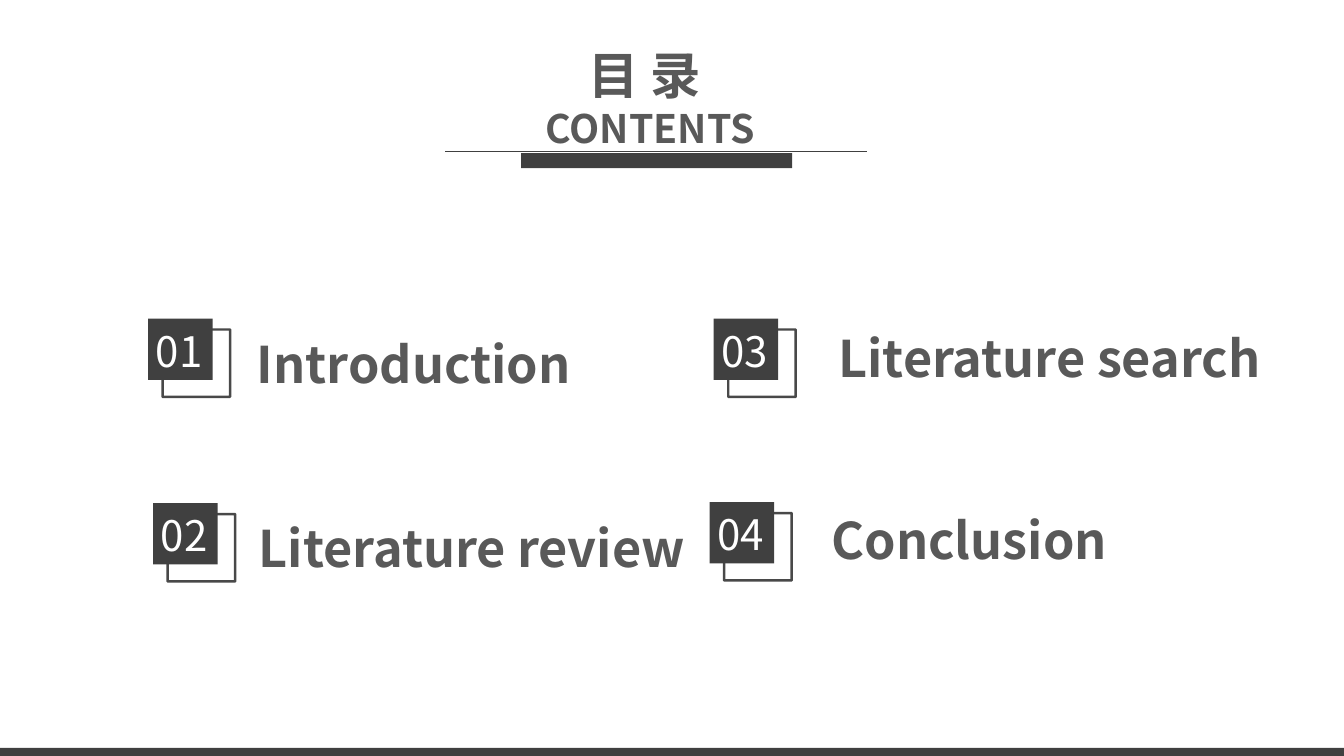
import pptx
import pptx.util
import pptx.dml.color
import pptx.enum.shapes
import pptx.enum.text
import pptx.oxml.ns
import lxml.etree

Pt = pptx.util.Pt
qn = pptx.oxml.ns.qn
FACE = "Noto Sans CJK SC"
DARK = "404040"
GREY = "595959"
MID = pptx.enum.text.MSO_ANCHOR.MIDDLE
TOP = pptx.enum.text.MSO_ANCHOR.TOP
LEFT = pptx.enum.text.PP_ALIGN.LEFT
MIDDLE = pptx.enum.text.PP_ALIGN.CENTER

ITEMS = [
    ("01", "Introduction", (105.8, 227.5), (176.4, 227.5)),
    ("02", "Literature review", (109.4, 359.3), (177.8, 359.3)),
    ("03", "Literature search", (509.8, 227.5), (591.8, 223.2)),
    ("04", "Conclusion", (506.9, 358.6), (586.8, 353.5)),
]


def tint(hue):
    return pptx.dml.color.RGBColor.from_string(hue)


def style(para, size, hue, bold, align):
    para.alignment = align
    font = para.font
    font.size = Pt(size)
    font.bold = bold
    font.color.rgb = tint(hue)
    font.name = FACE
    props = para._p.pPr.find(qn("a:defRPr"))
    lxml.etree.SubElement(props, qn("a:ea"), typeface=FACE)


def block(slide, x, y, w, h):
    kind = pptx.enum.shapes.MSO_SHAPE.RECTANGLE
    shape = slide.shapes.add_shape(kind, Pt(x), Pt(y), Pt(w), Pt(h))
    shape.shadow.inherit = False
    return shape


def solid(slide, x, y, w, h):
    shape = block(slide, x, y, w, h)
    shape.fill.solid()
    shape.fill.fore_color.rgb = tint(DARK)
    shape.line.fill.background()


def frame(slide, x, y, w, h):
    shape = block(slide, x, y, w, h)
    shape.fill.background()
    shape.line.width = Pt(1.75)
    shape.line.color.rgb = tint(DARK)
    shade = shape._element.spPr.find(qn("a:ln")).find(".//" + qn("a:srgbClr"))
    lxml.etree.SubElement(shade, qn("a:alpha"), val="94000")


def rule(slide, x, y, w):
    kind = pptx.enum.shapes.MSO_CONNECTOR.STRAIGHT
    line = slide.shapes.add_connector(kind, Pt(x), Pt(y), Pt(x + w), Pt(y))
    line.line.width = Pt(0.5)
    line.line.color.rgb = tint(DARK)
    lxml.etree.SubElement(line._element.spPr, qn("a:effectLst"))


def label(slide, text, x, y, w, h, size, hue, bold, anchor):
    box = slide.shapes.add_textbox(Pt(x), Pt(y), Pt(w), Pt(h))
    body = box.text_frame
    body.word_wrap = True
    body.vertical_anchor = anchor
    body.text = text
    style(body.paragraphs[0], size, hue, bold, LEFT)
    return body


def number(slide, text, x, y):
    body = label(slide, text, x, y, 54, 51.8, 30, "FFFFFF", False, TOP)
    body.margin_left = body.margin_right = Pt(5)
    body.margin_top = body.margin_bottom = Pt(2.9)
    body.paragraphs[0].line_spacing = 1.3


def heading(slide):
    title = slide.shapes.title
    title.left, title.top = Pt(326.9), Pt(51.1)
    title.width, title.height = Pt(275), Pt(37.4)
    body = title.text_frame
    body.auto_size = pptx.enum.text.MSO_AUTO_SIZE.NONE
    body.word_wrap = True
    body.vertical_anchor = MID
    body.text = "目 录 \nCONTENTS"
    for para, size in zip(body.paragraphs, (36, 28)):
        style(para, size, GREY, True, MIDDLE)


def entry(slide, num, text, tile, spot):
    x, y = tile
    frame(slide, x + 10.4, y + 7.9, 48.2, 48.2)
    solid(slide, x, y, 46.1, 43.9)
    number(slide, num, x + 0.5, y - 8.8)
    label(slide, text, *spot, 391, 63.4, 36, GREY, True, MID)


def main():
    deck = pptx.Presentation()
    deck.slide_width, deck.slide_height = Pt(960), Pt(540)
    slide = deck.slides.add_slide(deck.slide_layouts[5])
    solid(slide, -1.4, 534.2, 961.4, 5.8)
    solid(slide, 372.2, 109.4, 193.7, 10.8)
    rule(slide, 318.2, 108, 301)
    heading(slide)
    for item in ITEMS:
        entry(slide, *item)
    deck.save("out.pptx")


if __name__ == "__main__":
    main()
